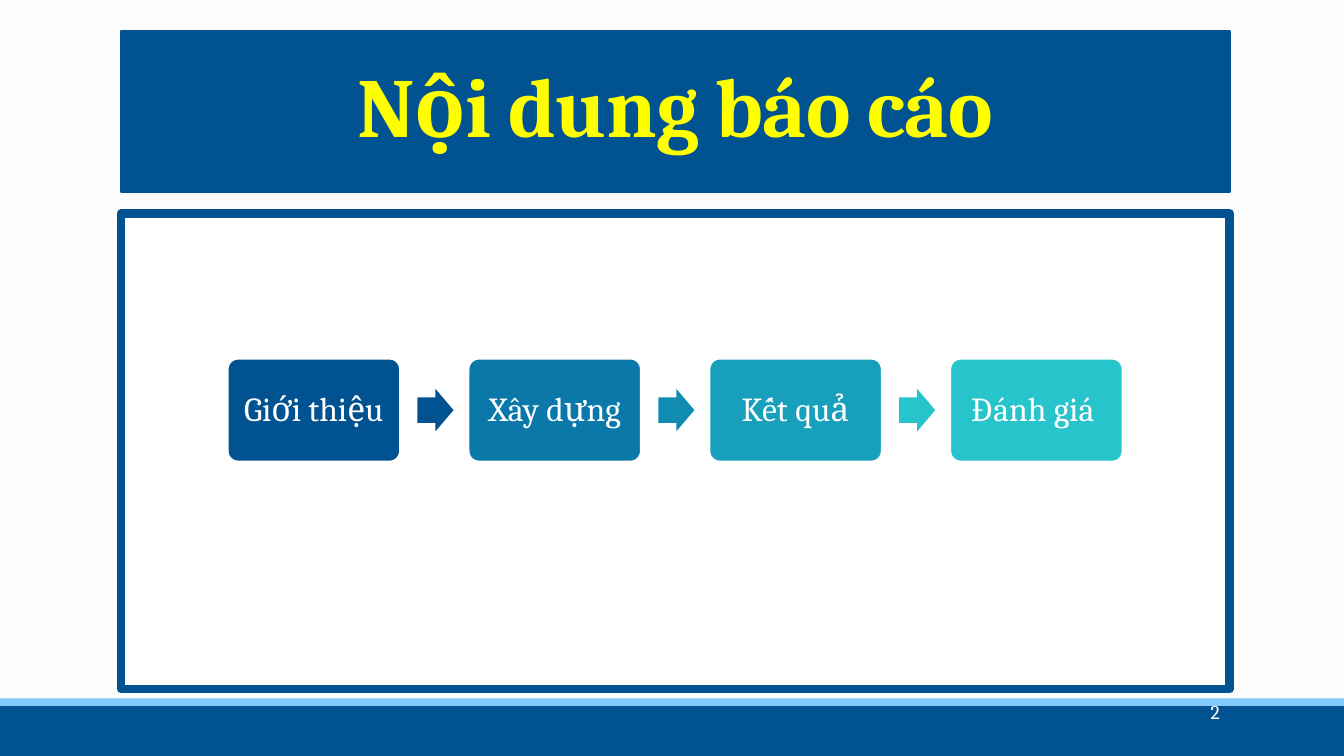
from dataclasses import dataclass
from typing import Any, Optional

from pptx import Presentation
from pptx.dml.color import RGBColor
from pptx.enum.shapes import MSO_SHAPE
from pptx.enum.text import MSO_ANCHOR, PP_ALIGN
from pptx.util import Cm, Pt


@dataclass(frozen=True)
class Theme:
    font: str = "Cambria"
    backdrop: str = "FCFCFC"
    navy: str = "005390"
    sky: str = "7FCAFF"
    white: str = "FFFFFF"
    yellow: str = "FFFF00"
    title_size: int = 60
    step_size: int = 24
    number_size: int = 14


@dataclass(frozen=True)
class Area:
    left: float
    top: float
    width: float
    height: float

    def lengths(self) -> tuple:
        return Cm(self.left), Cm(self.top), Cm(self.width), Cm(self.height)


@dataclass(frozen=True)
class Block:
    area: Area
    fill: str
    line: Optional[str] = None
    line_width: float = 1.25
    kind: Any = MSO_SHAPE.RECTANGLE
    adjustments: tuple = ()


@dataclass(frozen=True)
class Step:
    label: str
    fill: str
    arrow_fill: Optional[str] = None


THEME = Theme()
PAGE_WIDTH, PAGE_HEIGHT = 33.87, 19.05
TITLE_AREA = Area(3.05, 0.79, 27.94, 4.04)
NUMBER_AREA = Area(27.23, 17.35, 3.76, 1.19)
STEP_LEFT, STEP_TOP, STEP_PITCH = 5.74, 9.04, 6.07
STEP_WIDTH, STEP_HEIGHT = 4.34, 2.59
ARROW_OFFSET, ARROW_WIDTH, ARROW_HEIGHT = 4.78, 0.91, 1.07

BACKGROUND_BLOCKS = [
    Block(Area(0, 17.78, PAGE_WIDTH, 1.27), THEME.navy),
    Block(Area(0, 17.6, PAGE_WIDTH, 0.18), THEME.sky),
    Block(Area(3.05, 5.38, 27.94, 11.99), THEME.white, THEME.navy, 6),
]
STEPS = [
    Step("Giới thiệu", THEME.navy, THEME.navy),
    Step("Xây dựng", "0A78A8", "108CB2"),
    Step("Kết quả", "179FBC", "28C4CC"),
    Step("Đánh giá ", "28C4CC"),
]


def apply(target: Any, values: dict) -> None:
    for name, value in values.items():
        setattr(target, name, value)


def paint(shape: Any, fill: str, line: Optional[str], line_width: float) -> None:
    shape.fill.solid()
    shape.fill.fore_color.rgb = RGBColor.from_string(fill)
    if line is None:
        shape.line.fill.background()
    else:
        shape.line.color.rgb = RGBColor.from_string(line)
        shape.line.width = Pt(line_width)


def add_block(page: Any, block: Block) -> Any:
    shape = page.shapes.add_shape(block.kind, *block.area.lengths())
    shape.shadow.inherit = False
    paint(shape, block.fill, block.line, block.line_width)
    for index, value in enumerate(block.adjustments):
        shape.adjustments[index] = value
    return shape


def write(shape: Any, text: str, size: int, color: str, margin: float = 0.25,
          bold: bool = False, alignment: Any = PP_ALIGN.CENTER,
          line_spacing: float = 1.0) -> Any:
    frame = shape.text_frame
    apply(frame, {
        "word_wrap": True,
        "vertical_anchor": MSO_ANCHOR.MIDDLE,
        "margin_left": Cm(margin),
        "margin_right": Cm(margin),
    })
    para = frame.paragraphs[0]
    apply(para, {"alignment": alignment, "line_spacing": line_spacing})
    span = para.add_run()
    span.text = text
    apply(span.font, {"name": THEME.font, "size": Pt(size), "bold": bold})
    span.font.color.rgb = RGBColor.from_string(color)
    return span


def add_title(page: Any, text: str) -> None:
    title = page.shapes.title
    left, top, width, height = TITLE_AREA.lengths()
    apply(title, {"left": left, "top": top, "width": width, "height": height})
    paint(title, THEME.navy, THEME.navy, 1.25)
    span = write(title, text, THEME.title_size, THEME.yellow, bold=True,
                 line_spacing=0.85)
    span.font._element.set("spc", "-50")


def add_step(page: Any, index: int, step: Step) -> None:
    left = STEP_LEFT + index * STEP_PITCH
    box = add_block(page, Block(
        Area(left, STEP_TOP, STEP_WIDTH, STEP_HEIGHT), step.fill,
        THEME.white, kind=MSO_SHAPE.ROUNDED_RECTANGLE, adjustments=(0.1,)))
    write(box, step.label, THEME.step_size, THEME.white, margin=0.33,
          line_spacing=0.9)
    if step.arrow_fill:
        arrow_top = STEP_TOP + (STEP_HEIGHT - ARROW_HEIGHT) / 2
        add_block(page, Block(
            Area(left + ARROW_OFFSET, arrow_top, ARROW_WIDTH, ARROW_HEIGHT),
            step.arrow_fill, kind=MSO_SHAPE.RIGHT_ARROW,
            adjustments=(0.6, 0.5)))


def main() -> None:
    deck = Presentation()
    apply(deck, {"slide_width": Cm(PAGE_WIDTH), "slide_height": Cm(PAGE_HEIGHT)})
    page = deck.slides.add_slide(deck.slide_layouts[5])
    page.background.fill.solid()
    page.background.fill.fore_color.rgb = RGBColor.from_string(THEME.backdrop)
    add_title(page, "Nội dung báo cáo")
    for block in BACKGROUND_BLOCKS:
        add_block(page, block)
    for index, step in enumerate(STEPS):
        add_step(page, index, step)
    number = page.shapes.add_textbox(*NUMBER_AREA.lengths())
    write(number, "2", THEME.number_size, THEME.white, alignment=PP_ALIGN.RIGHT)
    deck.save("out.pptx")


if __name__ == "__main__":
    main()
